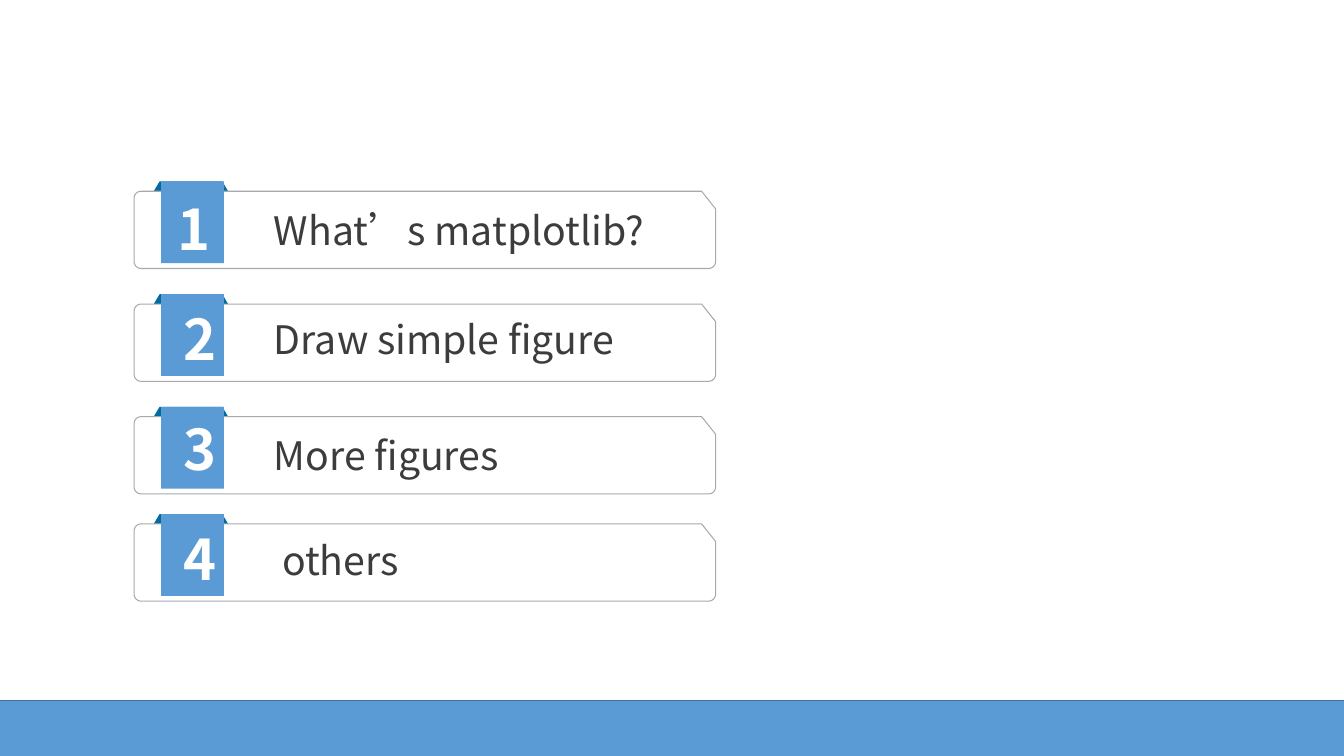
from dataclasses import dataclass
from math import cos, radians, sin

from lxml.etree import SubElement
from pptx import Presentation
from pptx.dml.color import RGBColor
from pptx.enum.shapes import MSO_SHAPE as Shape
from pptx.enum.text import MSO_AUTO_SIZE as AutoSize
from pptx.oxml.ns import qn
from pptx.shapes.autoshape import Shape as AutoShape
from pptx.slide import Slide
from pptx.util import Pt

FONT = "Noto Sans CJK SC"
BLUE, DARK_BLUE, BAR_EDGE = "5B9BD5", "006BA0", "43739E"
WHITE, GREY, INK = "FFFFFF", "A8A9AD", "3C3C3C"

CARD_LEFT, CARD_RIGHT, CARD_HEIGHT = 95.8, 511.2, 55.2
CARD_DROP = 7  # from the top of the ribbon to the top of the card
CORNER = 5
CUT_WIDTH, CUT_HEIGHT = 10, 12.6
RIBBON_LEFT, RIBBON_WIDTH, RIBBON_HEIGHT = 115.2, 44.8, 58.4
FOLD_WIDTH, FOLD_HEIGHT = 5.2, 8.8

Point = tuple[float, float]


@dataclass
class AgendaItem:
    number: str
    title: str
    top: float
    number_top: float
    title_top: float
    number_left: float = 123.8
    title_left: float = 188.6


ITEMS = [
    AgendaItem("1", "What’s matplotlib?", 129.6, 135.4, 144, number_left=119.5),
    AgendaItem("2", "Draw simple figure", 210.2, 213.8, 221.8),
    AgendaItem("3", "More figures", 290.6, 292.3, 304.6),
    AgendaItem("4", "others", 367.2, 370.8, 379.4, title_left=194.4),
]


def colour(value: str) -> RGBColor:
    return RGBColor.from_string(value)


def paint(shape: AutoShape, fill: str, line: str | None = None, width: float = 0) -> None:
    shape.shadow.inherit = False
    shape.fill.solid()
    shape.fill.fore_color.rgb = colour(fill)
    if line is None:
        shape.line.fill.background()
    else:
        shape.line.color.rgb = colour(line)
        shape.line.width = Pt(width)


def add_rectangle(page: Slide, left: float, top: float, width: float, height: float) -> AutoShape:
    return page.shapes.add_shape(Shape.RECTANGLE, Pt(left), Pt(top), Pt(width), Pt(height))


def add_outline(page: Slide, points: list[Point]) -> AutoShape:
    corners = [(Pt(x), Pt(y)) for x, y in points]
    builder = page.shapes.build_freeform(*corners[0])
    builder.add_line_segments(corners[1:], close=True)
    return builder.convert_to_shape()


def round_corner(x: float, y: float, start: int) -> list[Point]:
    """Quarter circle around (x, y), clockwise from the start angle."""
    angles = [radians(start + step) for step in range(0, 91, 15)]
    return [(x + CORNER * cos(angle), y + CORNER * sin(angle)) for angle in angles]


def add_card(page: Slide, top: float) -> None:
    bottom = top + CARD_HEIGHT
    points = [
        (CARD_RIGHT - CUT_WIDTH, top),
        (CARD_RIGHT, top + CUT_HEIGHT),
        *round_corner(CARD_RIGHT - CORNER, bottom - CORNER, 0),
        *round_corner(CARD_LEFT + CORNER, bottom - CORNER, 90),
        *round_corner(CARD_LEFT + CORNER, top + CORNER, 180),
    ]
    paint(add_outline(page, points), WHITE, GREY)


def add_fold(page: Slide, top: float) -> None:
    """Dark trapezium behind the ribbon."""
    right, bottom = RIBBON_LEFT + RIBBON_WIDTH, top + FOLD_HEIGHT
    points = [
        (RIBBON_LEFT - 1.2, top),
        (right - 1.2, top),
        (right + FOLD_WIDTH - 1.2, bottom),
        (RIBBON_LEFT - FOLD_WIDTH - 1.2, bottom),
    ]
    paint(add_outline(page, points), DARK_BLUE)


def add_text(page: Slide, text: str, left: float, top: float, width: float, height: float,
             size: float, ink: str, bold: bool = False) -> None:
    box = page.shapes.add_textbox(Pt(left), Pt(top), Pt(width), Pt(height))
    frame = box.text_frame
    frame.word_wrap = True
    frame.auto_size = AutoSize.SHAPE_TO_FIT_TEXT
    span = frame.paragraphs[0].add_run()
    span.text = text
    span.font.name = FONT
    span.font.size = Pt(size)
    span.font.bold = bold
    span.font.color.rgb = colour(ink)
    SubElement(span.font._element, qn("a:ea"), typeface=FONT)


def add_item(page: Slide, item: AgendaItem) -> None:
    add_fold(page, item.top)
    add_card(page, item.top + CARD_DROP)
    paint(add_rectangle(page, RIBBON_LEFT, item.top, RIBBON_WIDTH, RIBBON_HEIGHT), BLUE)
    add_text(page, item.title, item.title_left, item.title_top, 303.8, 41, 28, INK)
    add_text(page, item.number, item.number_left, item.number_top, 31, 55.4, 40, WHITE, bold=True)


def main() -> None:
    deck = Presentation()
    deck.slide_width, deck.slide_height = Pt(960), Pt(540)
    page = deck.slides.add_slide(deck.slide_layouts[6])
    paint(add_rectangle(page, -62.6, 500.4, 1084.3, 47.5), BLUE, BAR_EDGE, 1)
    for item in ITEMS:
        add_item(page, item)
    deck.save("out.pptx")


if __name__ == "__main__":
    main()
